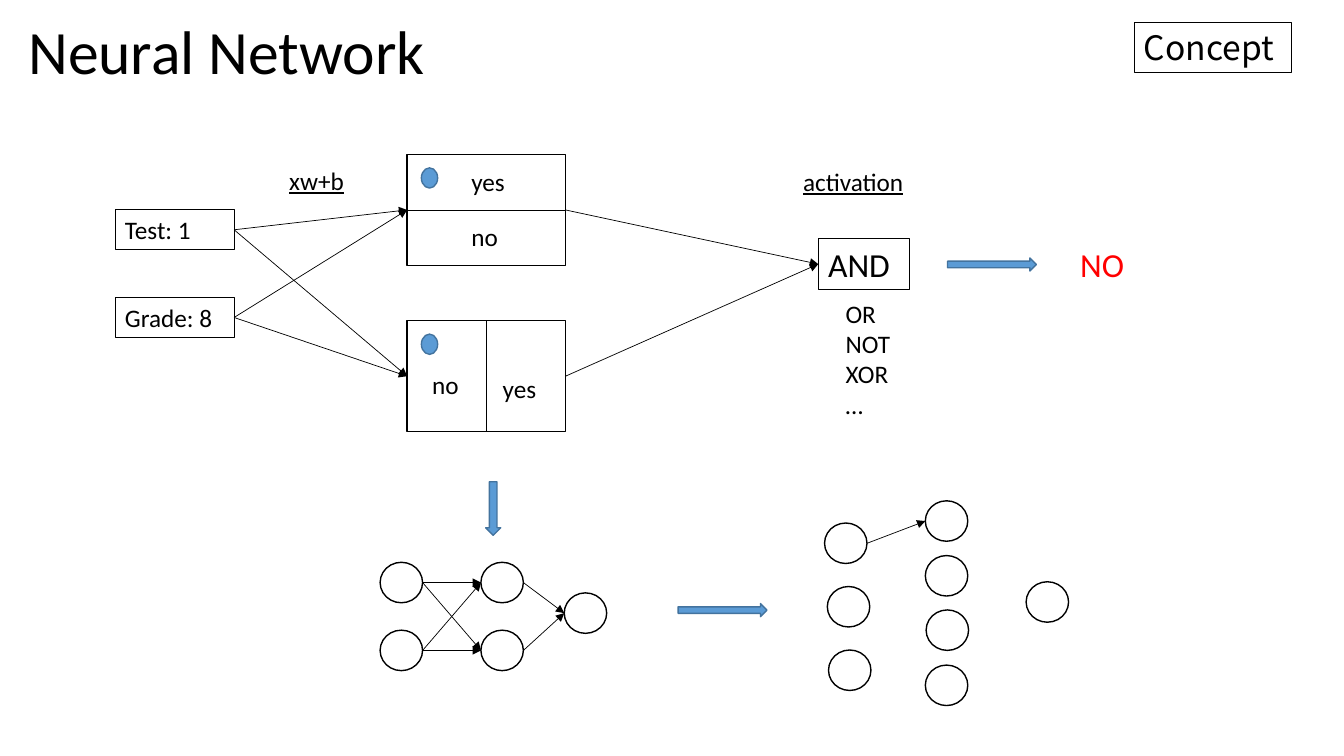
"""Build the Neural Network concept slide."""
from dataclasses import dataclass
from itertools import product

from lxml.etree import SubElement
from pptx import Presentation
from pptx.dml.color import RGBColor as Rgb
from pptx.enum.shapes import MSO_CONNECTOR as Link, MSO_SHAPE as Form
from pptx.enum.text import MSO_ANCHOR as Anchor, PP_ALIGN as Align
from pptx.oxml.ns import qn
from pptx.util import Cm, Pt


@dataclass(frozen=True)
class Theme:
    """Colours, fonts and type sizes."""
    ink: Rgb = Rgb(0, 0, 0)
    blue: Rgb = Rgb(0x5B, 0x9B, 0xD5)
    edge: Rgb = Rgb(0x43, 0x73, 0x9E)
    red: Rgb = Rgb(0xFF, 0, 0)
    font: str = "Calibri"
    tag: str = "Noto Sans CJK SC"
    head: int = 44
    big: int = 24
    body: int = 18


T = Theme()
TITLE = "Neural Network"
TAG = ("Concept", (28.58, 0.56, 3.96, 1.27))
INPUTS = [("Test: 1", (2.9, 5.28, 3, 1.02)), ("Grade: 8", (2.9, 7.49, 3, 1.02))]
GATES = [(10.26, 3.89, 3.99, 2.8), (10.26, 8.08, 3.99, 2.8)]
LABELS = [
    ("yes", (11.63, 4.06, 1.98, 1.02)),
    ("no", (11.63, 5.46, 1.98, 1.02)),
    ("yes", (12.42, 9.27, 1.73, 1.02)),
    ("no", (10.64, 9.17, 1.98, 1.02)),
    ("OR\nNOT\nXOR\n…", (21.06, 7.39, 1.68, 3.33)),
]
HEADS = [("xw+b", (7.04, 4.04, 2.08, 1.02)), ("activation", (19.99, 4.06, 3.56, 1.02))]
UNIT = ("AND", (20.62, 6.02, 2.29, 1.27))
RESULT = ("NO", (26.97, 6.02, 2.01, 1.27))
ARROWS = [
    (Form.RIGHT_ARROW, (23.88, 6.5, 2.24, 0.33)),
    (Form.RIGHT_ARROW, (17.09, 15.21, 2.24, 0.33)),
    (Form.DOWN_ARROW, (12.24, 12.14, 0.38, 1.35)),
]
NODE = (1.07, 1.02)
SMALL = [[(9.58, 14.17), (9.58, 15.88)],
         [(12.12, 14.17), (12.12, 15.88)],
         [(14.22, 14.94)]]
LARGE = [[(20.78, 13.18), (20.85, 14.78), (20.88, 16.38)],
         [(23.32, 12.62), (23.32, 14), (23.34, 15.37), (23.32, 16.76)],
         [(25.86, 14.66)]]


def place(box):
    """Turn centimetres into lengths."""
    return [Cm(v) for v in box]


def write(slide, text, box, size=T.body, color=T.ink, font=T.font, frame=False, under=False):
    """Add a text box, framed or plain."""
    area = slide.shapes.add_textbox(*place(box))
    area.text_frame.word_wrap = True
    area.text_frame.text = text
    for para in area.text_frame.paragraphs:
        for run in para.runs:
            run.font.name, run.font.size = font, Pt(size)
            run.font.color.rgb = color
            if under:
                run.font.underline = True
    if frame:
        area.line.color.rgb, area.line.width = T.ink, Pt(0.75)


def draw(slide, form, box, fill=None, edge=T.ink):
    """Add a filled or hollow shape."""
    item = slide.shapes.add_shape(form, *place(box))
    item.shadow.inherit = False
    if fill is None:
        item.fill.background()
    else:
        item.fill.solid()
        item.fill.fore_color.rgb = fill
    item.line.color.rgb, item.line.width = edge, Pt(1)


def join(slide, start, end, tip=True):
    """Add a thin line, with an arrowhead if wanted."""
    line = slide.shapes.add_connector(Link.STRAIGHT, *place(start + end))
    line.line.color.rgb, line.line.width = T.ink, Pt(0.5)
    if tip:
        SubElement(line.line._get_or_add_ln(), qn("a:tailEnd"), type="triangle")
    SubElement(line._element.spPr, qn("a:effectLst"))


def left(box):
    """Give the middle of the left side."""
    return box[0], box[1] + box[3] / 2


def right(box):
    """Give the middle of the right side."""
    return box[0] + box[2], box[1] + box[3] / 2


def wire(slide, starts, ends):
    """Link every start box to every end box."""
    for start, end in product(starts, ends):
        join(slide, right(start), left(end))


def layers(slide, net):
    """Draw the circles of a net and return their boxes."""
    boxes = [[spot + NODE for spot in layer] for layer in net]
    for layer in boxes:
        for box in layer:
            draw(slide, Form.OVAL, box)
    return boxes


def head(slide):
    """Fill the title and the tag."""
    title = slide.shapes.title
    title.left, title.top, title.width, title.height = place((0.46, 0.36, 32.79, 2.03))
    title.text_frame.text = TITLE
    title.text_frame.vertical_anchor = Anchor.MIDDLE
    para = title.text_frame.paragraphs[0]
    para.alignment, para.line_spacing = Align.LEFT, 0.9
    para.font.name, para.font.size = T.font, Pt(T.head)
    para.font.color.rgb = T.ink
    write(slide, *TAG, size=T.big, font=T.tag, frame=True)


def logic(slide):
    """Draw the inputs, gates and activation."""
    for text, box in INPUTS:
        write(slide, text, box, frame=True)
    for x, y, w, h in GATES:
        draw(slide, Form.RECTANGLE, (x, y, w, h))
        draw(slide, Form.OVAL, (x + 0.36, y + 0.34, 0.41, 0.51), T.blue, T.edge)
    upper, lower = GATES
    join(slide, left(upper), right(upper), tip=False)
    x, y, w, h = lower
    join(slide, (x + w / 2, y), (x + w / 2, y + h), tip=False)
    for text, box in LABELS:
        write(slide, text, box)
    for text, box in HEADS:
        write(slide, text, box, under=True)
    write(slide, *UNIT, size=T.big, frame=True)
    write(slide, *RESULT, size=T.big, color=T.red)
    wire(slide, [box for _, box in INPUTS], GATES)
    wire(slide, GATES, [UNIT[1]])


def nets(slide):
    """Draw both nets and the block arrows."""
    first, mid, last = layers(slide, SMALL)
    wire(slide, first, mid)
    wire(slide, mid, last)
    first, mid, last = layers(slide, LARGE)
    wire(slide, first[:1], mid[:1])
    for form, box in ARROWS:
        draw(slide, form, box, T.blue, T.edge)


def main():
    """Make and save the deck."""
    deck = Presentation()
    deck.slide_width, deck.slide_height = Cm(33.87), Cm(19.05)
    slide = deck.slides.add_slide(deck.slide_layouts[5])
    head(slide)
    logic(slide)
    nets(slide)
    deck.save("out.pptx")


if __name__ == "__main__":
    main()
